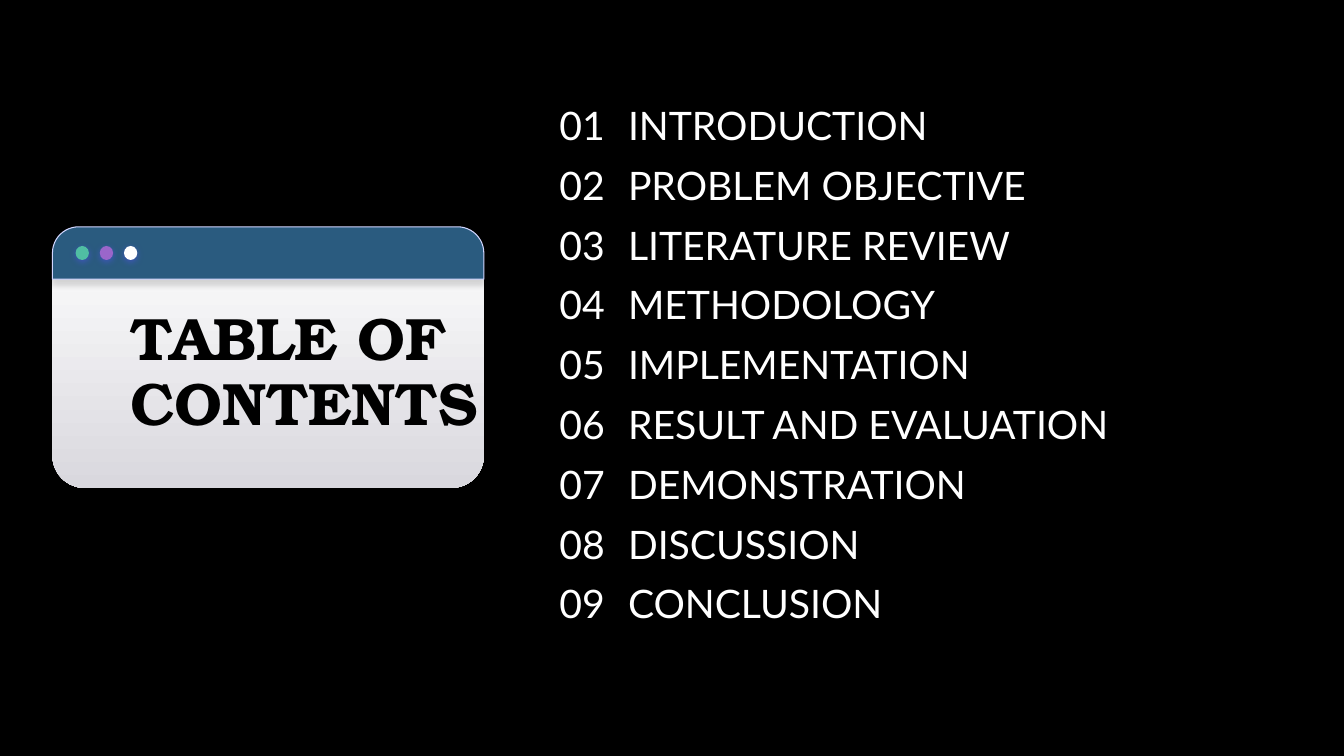
"""Build a table of contents slide with a browser window card and a numbered list."""
from dataclasses import dataclass

from lxml.etree import SubElement
from pptx import Presentation
from pptx.dml.color import RGBColor
from pptx.enum.shapes import MSO_SHAPE as Preset
from pptx.enum.text import MSO_ANCHOR as Anchor, MSO_AUTO_SIZE as AutoSize, PP_ALIGN as Align
from pptx.oxml.ns import qn
from pptx.shapes.autoshape import Shape
from pptx.shapes.group import GroupShape
from pptx.slide import Slide
from pptx.util import Pt

BLACK = RGBColor(0x00, 0x00, 0x00)
WHITE = RGBColor(0xFF, 0xFF, 0xFF)
CARD_GREY = RGBColor(0xD9, 0xD8, 0xDE)
BAR_BLUE = RGBColor(0x2A, 0x5B, 0x7F)
BAR_EDGE = RGBColor(0xD2, 0xD6, 0xFF)
GREEN = RGBColor(0x50, 0xBE, 0xA3)
PURPLE = RGBColor(0x9A, 0x66, 0xCA)
INDIGO = RGBColor(0x53, 0x52, 0xEE)

NO_GRID_STYLE = "{2D5ABB26-0587-4C30-8999-92F81FD0307C}"
TOPICS = (
    "INTRODUCTION",
    "PROBLEM OBJECTIVE",
    "LITERATURE REVIEW",
    "METHODOLOGY",
    "IMPLEMENTATION",
    "RESULT AND EVALUATION",
    "DEMONSTRATION",
    "DISCUSSION",
    "CONCLUSION",
)
CARD_LEFT, CARD_TOP, CARD_WIDTH = 37.44, 162, 308.16
DOT_LEFT, DOT_STEP = 54, 17.28
ROW_HEIGHT = 42.72
COLUMN_WIDTHS = (49, 491)


@dataclass(frozen=True)
class Shadow:
    color: RGBColor
    opacity: int
    distance: float


@dataclass(frozen=True)
class WindowPart:
    preset: Preset
    left: float
    top: float
    width: float
    height: float
    fill: RGBColor
    shadow: Shadow
    adjustments: tuple[float, ...] = ()
    fill_end: RGBColor | None = None
    line: RGBColor | None = None


DOT_SHADOW = Shadow(INDIGO, 50, 1.5)
WINDOW_PARTS = (
    WindowPart(Preset.ROUNDED_RECTANGLE, CARD_LEFT, CARD_TOP, CARD_WIDTH, 186.48, WHITE,
               Shadow(BLACK, 22, 3.8), (0.124,), fill_end=CARD_GREY),
    WindowPart(Preset.ROUND_2_SAME_RECTANGLE, CARD_LEFT, CARD_TOP, CARD_WIDTH, 37.44, BAR_BLUE,
               Shadow(BLACK, 15, 3.8), (0.5, 0), line=BAR_EDGE),
    *(WindowPart(Preset.OVAL, DOT_LEFT + index * DOT_STEP, 175.68, 9.5, 10, color, DOT_SHADOW)
      for index, color in enumerate((GREEN, PURPLE, WHITE))),
)


def add_shadow(shape: Shape, shadow: Shadow) -> None:
    shape.shadow.inherit = False
    effects = shape.element.spPr.find(qn("a:effectLst"))
    outer = SubElement(effects, qn("a:outerShdw"), blurRad=str(Pt(4.5)),
                       dist=str(Pt(shadow.distance)), dir="5400000", algn="ctr", rotWithShape="0")
    color = SubElement(outer, qn("a:srgbClr"), val=str(shadow.color))
    SubElement(color, qn("a:alpha"), val=str(shadow.opacity * 1000))


def add_window_part(group: GroupShape, part: WindowPart) -> None:
    shape = group.shapes.add_shape(part.preset, Pt(part.left), Pt(part.top),
                                   Pt(part.width), Pt(part.height))
    for index, value in enumerate(part.adjustments):
        shape.adjustments[index] = value
    if part.fill_end is None:
        shape.fill.solid()
        shape.fill.fore_color.rgb = part.fill
    else:
        shape.fill.gradient()
        shape.fill.gradient_angle = 270
        for stop, color in zip(shape.fill.gradient_stops, (part.fill, part.fill_end)):
            stop.color.rgb = color
    if part.line is None:
        shape.line.fill.background()
    else:
        shape.line.color.rgb = part.line
        shape.line.width = Pt(0.75)
    add_shadow(shape, part.shadow)


def format_title(slide: Slide) -> None:
    title = slide.shapes.title
    title.left, title.top, title.width, title.height = Pt(83.5), Pt(211), Pt(298), Pt(111.6)
    frame = title.text_frame
    frame.text = "TABLE OF CONTENTS"
    frame.word_wrap = True
    frame.auto_size = AutoSize.NONE
    frame.vertical_anchor = Anchor.MIDDLE
    frame.margin_left = frame.margin_right = frame.margin_top = frame.margin_bottom = Pt(9.6)
    paragraph = frame.paragraphs[0]
    paragraph.alignment = Align.LEFT
    paragraph.line_spacing = 0.9
    paragraph.space_before = Pt(0)
    font = paragraph.font
    font.name, font.size, font.bold = "TeX Gyre Bonum", Pt(42.7), True
    font.color.rgb = BLACK
    slide.shapes.element.append(title.element)


def add_topics(slide: Slide) -> None:
    frame = slide.shapes.add_table(len(TOPICS), len(COLUMN_WIDTHS), Pt(392.4), Pt(69.1),
                                   Pt(sum(COLUMN_WIDTHS)), Pt(ROW_HEIGHT * len(TOPICS)))
    table = frame.table
    table.first_row = table.horz_banding = False
    next(table._tbl.iter(qn("a:tableStyleId"))).text = NO_GRID_STYLE
    for column, width in zip(table.columns, COLUMN_WIDTHS):
        column.width = Pt(width)
    for number, (row, topic) in enumerate(zip(table.rows, TOPICS), start=1):
        row.height = Pt(ROW_HEIGHT)
        for cell, text in zip(row.cells, (f"{number:02}", topic)):
            cell.fill.background()
            cell.text = text
            paragraph = cell.text_frame.paragraphs[0]
            paragraph.alignment = Align.JUSTIFY
            paragraph.font.name, paragraph.font.size = "Lato", Pt(28)
            paragraph.font.color.rgb = WHITE


def main() -> None:
    presentation = Presentation()
    presentation.slide_width, presentation.slide_height = Pt(960), Pt(540)
    slide = presentation.slides.add_slide(presentation.slide_layouts.get_by_name("Title Only"))
    slide.background.fill.solid()
    slide.background.fill.fore_color.rgb = BLACK
    window = slide.shapes.add_group_shape()
    for part in WINDOW_PARTS:
        add_window_part(window, part)
    format_title(slide)
    add_topics(slide)
    presentation.save("out.pptx")


if __name__ == "__main__":
    main()
